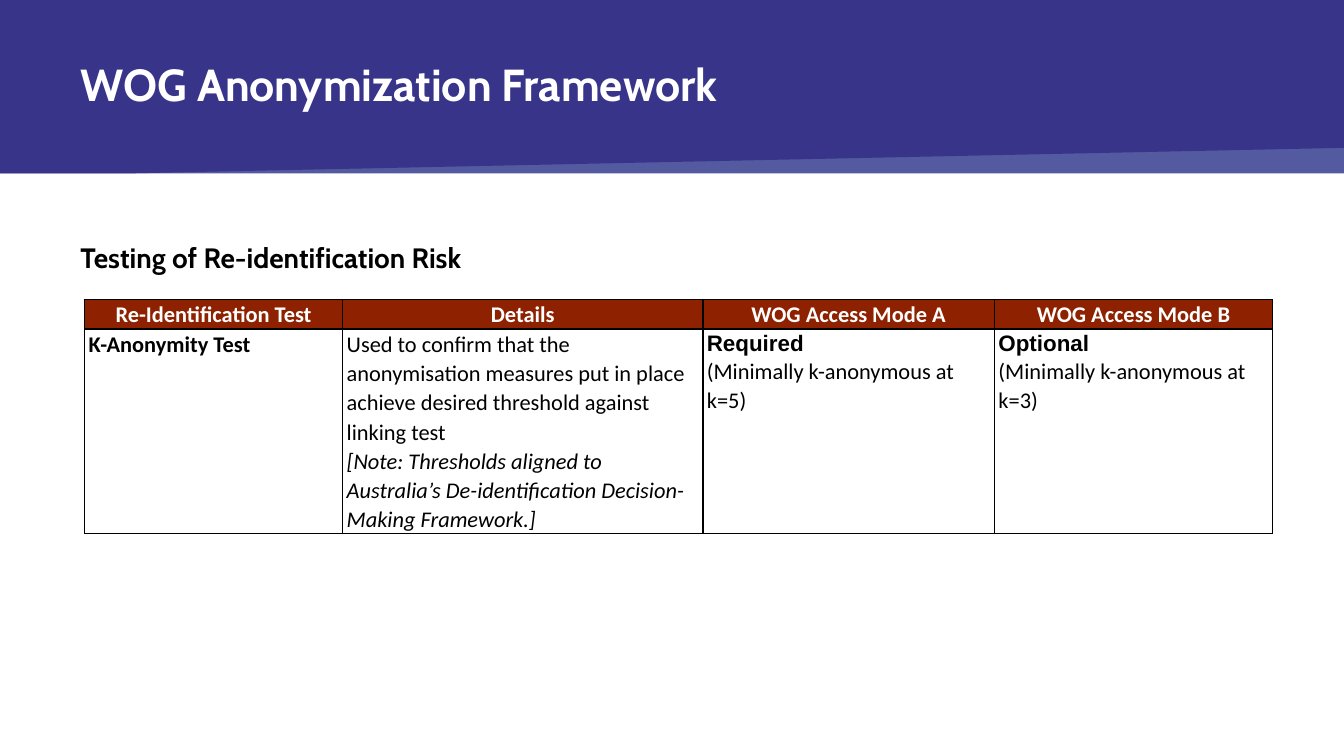
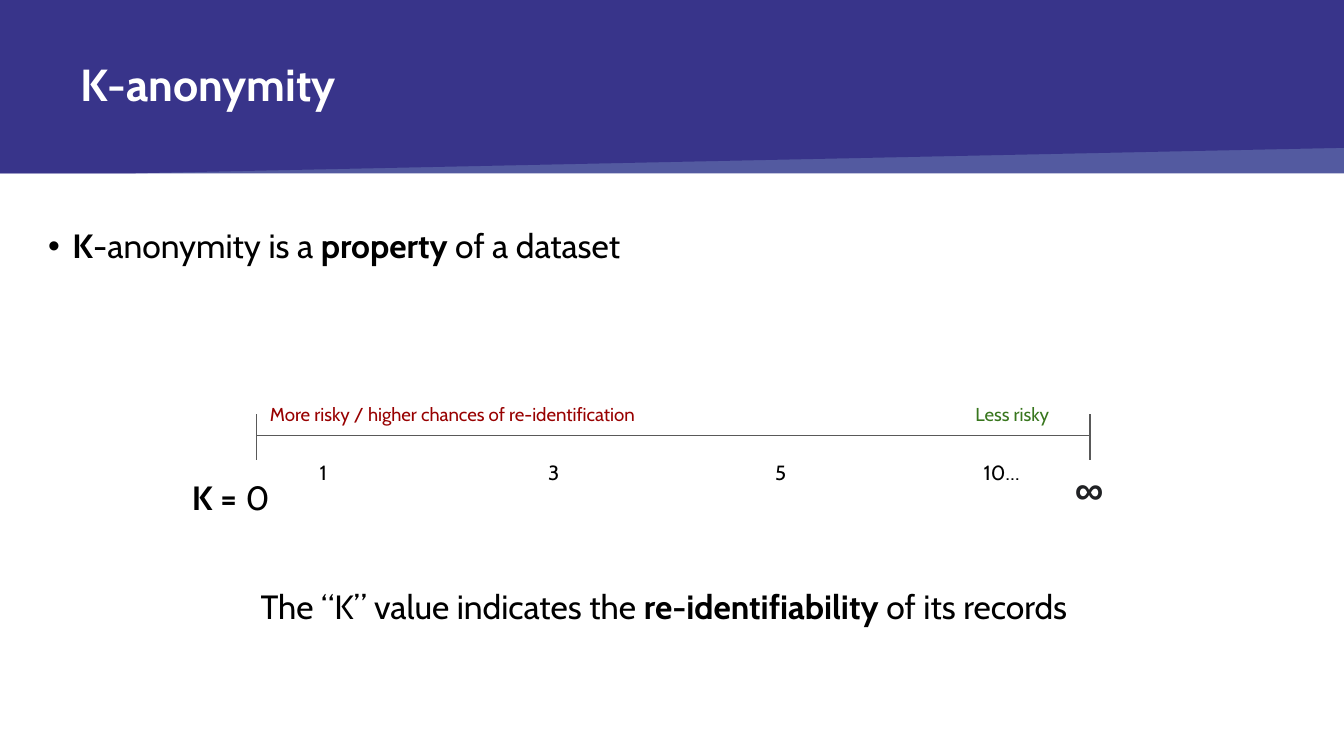
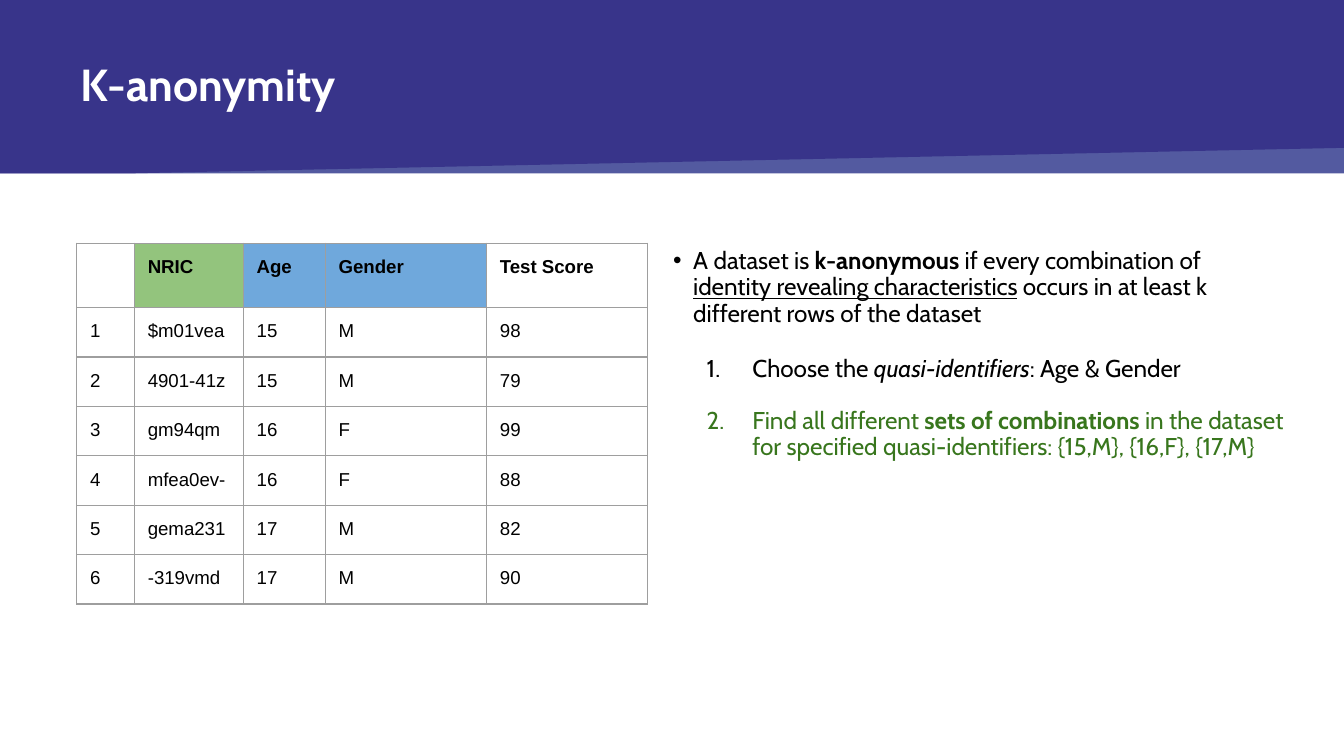
"""Build three slides on testing re-identification risk with k-anonymity."""
from dataclasses import dataclass
from typing import NamedTuple, Optional, Sequence

from lxml import etree
from pptx import Presentation
from pptx import slide as s
from pptx import table as tb
from pptx import util as u
from pptx.dml import color as c
from pptx.enum import shapes, text
from pptx.oxml import ns
from pptx.text import text as t


@dataclass(frozen=True)
class Theme:
    heading_font: str = "Cabin"
    table_font: str = "Calibri"
    plain_font: str = "Arial"
    white: str = "FFFFFF"
    black: str = "000000"
    band: str = "535AA0"
    band_overlay: str = "2F2883"
    overlay_opacity: int = 75
    header_red: str = "8E2200"
    identifier_green: str = "93C47D"
    quasi_blue: str = "6FA8DC"
    grid: str = "9E9E9E"
    axis: str = "595959"
    infinity: str = "202124"
    risky: str = "980000"
    safe: str = "38761D"
    title: float = 24
    infinity_size: float = 21.5
    body: float = 18
    subtitle: float = 15
    list_size: float = 13
    framework: float = 12
    tick: float = 11
    small: float = 10
    tight: float = 0.9
    loose: float = 1.07


THEME = Theme()


class Box(NamedTuple):
    left: float
    top: float
    width: float
    height: float


class Run(NamedTuple):
    text: str
    bold: Optional[bool] = None
    italic: Optional[bool] = None
    underline: Optional[bool] = None


@dataclass(frozen=True)
class Para:
    runs: Sequence[Run]
    size: float = THEME.body
    font: str = THEME.heading_font
    color: str = THEME.black
    bold: bool = False
    italic: bool = False
    centered: bool = False
    spacing: float = THEME.tight
    before: float = 0
    marker: str = ""
    indent: tuple[float, float] = (0, 0)


@dataclass(frozen=True)
class Cell:
    paras: Sequence[Para] = ()
    fill: Optional[str] = None


class Label(NamedTuple):
    box: Box
    para: Para


class Grid(NamedTuple):
    left: float
    top: float
    columns: Sequence[float]
    rows: Sequence[float]
    border: str
    border_points: float
    inset_x: float
    inset_y: float


def plain(words: str, **style) -> Para:
    """Return a paragraph with a single run."""
    return Para((Run(words),), **style)


def rgb(value: str) -> c.RGBColor:
    """Return the colour for a hex string."""
    return c.RGBColor.from_string(value)


def add_child(parent: etree._Element, tag: str, **attributes: str) -> etree._Element:
    """Append a DrawingML element."""
    return etree.SubElement(parent, ns.qn(tag), attributes)


def set_marker(paragraph: t._Paragraph, para: Para) -> None:
    """Give a paragraph its hanging bullet or number."""
    margin, hanging = para.indent
    properties = paragraph._p.get_or_add_pPr()
    properties.set("marL", str(u.Inches(margin)))
    properties.set("indent", str(u.Inches(hanging)))
    add_child(add_child(properties, "a:buClr"), "a:srgbClr", val=para.color)
    if para.marker == "1.":
        add_child(properties, "a:buAutoNum", type="arabicPeriod")
    else:
        add_child(properties, "a:buFont", typeface=THEME.plain_font)
        add_child(properties, "a:buChar", char=para.marker)


def write(frame: t.TextFrame, paras: Sequence[Para]) -> None:
    """Fill a text frame with paragraphs."""
    for index, para in enumerate(paras):
        paragraph = frame.add_paragraph() if index else frame.paragraphs[0]
        if para.marker:
            set_marker(paragraph, para)
        paragraph.alignment = text.PP_ALIGN.CENTER if para.centered else text.PP_ALIGN.LEFT
        paragraph.line_spacing = para.spacing
        if para.before:
            paragraph.space_before = u.Pt(para.before)
        font = paragraph.font
        font.name, font.size = para.font, u.Pt(para.size)
        font.bold, font.italic = para.bold, para.italic
        font.color.rgb = rgb(para.color)
        for piece in para.runs:
            run = paragraph.add_run()
            run.text = piece.text
            run.font.bold, run.font.italic = piece.bold, piece.italic
            run.font.underline = piece.underline


def add_text(slide: s.Slide, box: Box, *paras: Para, inset_y: float = 0.1,
             middle: bool = False) -> None:
    """Add a wrapped text box."""
    frame = slide.shapes.add_textbox(*map(u.Inches, box)).text_frame
    frame.word_wrap = True
    frame.margin_left = frame.margin_right = u.Inches(0.1)
    frame.margin_top = frame.margin_bottom = u.Inches(inset_y)
    frame.vertical_anchor = text.MSO_ANCHOR.MIDDLE if middle else text.MSO_ANCHOR.TOP
    write(frame, paras)


def add_line(slide: s.Slide, x1: float, y1: float, x2: float, y2: float) -> None:
    """Add a thin axis line."""
    line = slide.shapes.add_connector(
        shapes.MSO_CONNECTOR.STRAIGHT, *map(u.Inches, (x1, y1, x2, y2)))
    line.line.color.rgb = rgb(THEME.axis)
    line.line.width = u.Pt(0.75)
    add_child(line.element.spPr, "a:effectLst")


def style_cell(cell: tb._Cell, content: Cell, grid: Grid) -> None:
    """Set a cell's borders, fill, margins and text."""
    properties = cell._tc.get_or_add_tcPr()
    for side in ("a:lnL", "a:lnR", "a:lnT", "a:lnB"):
        border = add_child(properties, side, w=str(u.Pt(grid.border_points)))
        add_child(add_child(border, "a:solidFill"), "a:srgbClr", val=grid.border)
    if content.fill:
        cell.fill.solid()
        cell.fill.fore_color.rgb = rgb(content.fill)
    else:
        cell.fill.background()
    inset_y = grid.inset_y if content.paras else 0
    cell.margin_left = cell.margin_right = u.Inches(grid.inset_x)
    cell.margin_top = cell.margin_bottom = u.Inches(inset_y)
    write(cell.text_frame, content.paras)


def add_grid(slide: s.Slide, grid: Grid, rows: Sequence[Sequence[Cell]]) -> None:
    """Add a table with uniform borders."""
    box = Box(grid.left, grid.top, sum(grid.columns), sum(grid.rows))
    table = slide.shapes.add_table(
        len(grid.rows), len(grid.columns), *map(u.Inches, box)).table
    table.first_row = table.horz_banding = False
    for column, width in zip(table.columns, grid.columns):
        column.width = u.Inches(width)
    for row, height, contents in zip(table.rows, grid.rows, rows):
        row.height = u.Inches(height)
        for cell, content in zip(row.cells, contents):
            style_cell(cell, content, grid)


def start_slide(presentation, title: str) -> s.Slide:
    """Add a blank slide with the header band and title."""
    slide = presentation.slides.add_slide(presentation.slide_layouts[6])
    band = slide.shapes.add_shape(
        shapes.MSO_SHAPE.RECTANGLE, *map(u.Inches, (0, 0, 10, 1.29)))
    builder = slide.shapes.build_freeform(0, 0)
    corners = ((10, 0), (10, 1.1), (0.96, 1.29), (0, 1.29))
    builder.add_line_segments([(u.Inches(x), u.Inches(y)) for x, y in corners])
    overlay = builder.convert_to_shape()
    for shape, color in ((band, THEME.band), (overlay, THEME.band_overlay)):
        shape.shadow.inherit = False
        shape.fill.solid()
        shape.fill.fore_color.rgb = rgb(color)
        shape.line.fill.background()
    overlay_color = overlay.element.spPr.find(".//" + ns.qn("a:srgbClr"))
    add_child(overlay_color, "a:alpha", val=str(THEME.overlay_opacity * 1000))
    add_text(slide, Box(0.5, 0.26, 8.96, 0.78),
             plain(title, size=THEME.title, color=THEME.white, bold=True),
             inset_y=0.05, middle=True)
    return slide


def framework_para(words: str, **style) -> Para:
    """Return a paragraph in the framework table's style."""
    return plain(words, **{"size": THEME.framework, "font": THEME.table_font,
                           "spacing": THEME.loose, **style})


def mode_cell(status: str, threshold: int) -> Cell:
    """Return the requirement for one access mode."""
    return Cell((framework_para(status, font=THEME.plain_font, bold=True),
                 framework_para(f"(Minimally k-anonymous at k={threshold})")))


def build_framework(presentation) -> None:
    """Build the slide on the anonymization framework."""
    slide = start_slide(presentation, "WOG Anonymization Framework")
    headings = ("Re-Identification Test", "Details", "WOG Access Mode A", "WOG Access Mode B")
    header = [Cell((framework_para(heading, color=THEME.white, bold=True, centered=True),),
                   THEME.header_red) for heading in headings]
    details = Cell((
        framework_para("Used to confirm that the anonymisation measures put in place "
                       "achieve desired threshold against linking test"),
        framework_para("[Note: Thresholds aligned to Australia’s De-identification "
                       "Decision-Making Framework.]", italic=True)))
    test = Cell((framework_para("K-Anonymity Test", bold=True),))
    grid = Grid(0.63, 2.23, (1.92, 2.68, 2.17, 2.07), (0.22, 1.52), THEME.black, 1, 0.03, 0)
    add_grid(slide, grid,
             (header, (test, details, mode_cell("Required", 5), mode_cell("Optional", 3))))
    add_text(slide, Box(0.5, 1.72, 6.63, 0.43),
             plain("Testing of Re-identification Risk", size=THEME.subtitle, bold=True))


def build_scale(presentation) -> None:
    """Build the slide with the scale of K values."""
    slide = start_slide(presentation, "K-anonymity")
    add_text(slide, Box(0.19, 1.66, 9.63, 0.4),
             Para((Run("K", bold=True), Run("-anonymity is a "), Run("property", bold=True),
                   Run(" of a dataset")), marker="•", indent=(0.25, -0.18)), inset_y=0.05)
    add_text(slide, Box(1.84, 4.29, 6.35, 0.47),
             Para((Run("The “K” value indicates the "), Run("re-identifiability", bold=True),
                   Run(" of its records"))))
    axis_left, axis_right = 1.91, 8.11
    add_line(slide, axis_left, 3.24, axis_right, 3.24)
    for end in (axis_left, axis_right):
        add_line(slide, end, 3.42, end, 3.08)
    for left, width, value in ((2.28, 0.35, "1"), (3.98, 0.63, "3"),
                               (5.67, 0.63, "5"), (7.22, 0.63, "10…")):
        add_text(slide, Box(left, 3.36, width, 0.37), plain(value, size=THEME.tick))
    labels = (
        Label(Box(1.73, 3.48, 0.35, 0.47), plain("0")),
        Label(Box(7.9, 3.4, 0.35, 0.53),
              plain("∞", size=THEME.infinity_size, font=THEME.plain_font,
                    color=THEME.infinity, bold=True)),
        Label(Box(1.33, 3.48, 1.41, 0.47), plain("K =", bold=True)),
        Label(Box(axis_left, 2.94, 3.28, 0.35),
              plain("More risky / higher chances of re-identification",
                    size=THEME.small, color=THEME.risky)),
        Label(Box(7.16, 2.94, 0.9, 0.35),
              plain("Less risky", size=THEME.small, color=THEME.safe)),
    )
    for label in labels:
        add_text(slide, label.box, label.para)


def record_cell(words: str, fill: Optional[str] = None, bold: bool = False) -> Cell:
    """Return a cell of the records table."""
    return Cell((plain(words, size=THEME.small, font=THEME.plain_font, spacing=1.0,
                       bold=bold),), fill)


def build_dataset(presentation) -> None:
    """Build the slide with the sample dataset and steps."""
    slide = start_slide(presentation, "K-anonymity")
    headings = (("NRIC", THEME.identifier_green), ("Age", THEME.quasi_blue),
                ("Gender", THEME.quasi_blue), ("Test Score", None))
    records = (("$m01vea", "15", "M", "98"), ("4901-41z", "15", "M", "79"),
               ("gm94qm", "16", "F", "99"), ("mfea0ev-", "16", "F", "88"),
               ("gema231", "17", "M", "82"), ("-319vmd", "17", "M", "90"))
    rows = [[Cell(), *(record_cell(name, fill, bold=True) for name, fill in headings)]]
    for number, record in enumerate(records, start=1):
        rows.append([record_cell(value) for value in (str(number), *record)])
    heights = (0.48, *[0.35] * len(records))
    add_grid(slide, Grid(0.57, 1.81, (0.43, 0.81, 0.61, 1.2, 1.2), heights,
                         THEME.grid, 0.75, 0.1, 0.1), rows)
    add_text(slide, Box(4.81, 1.75, 4.8, 0.79),
             Para((Run("A dataset is "), Run("k-anonymous", bold=True),
                   Run(" if every combination of "),
                   Run("identity revealing characteristics", underline=True),
                   Run(" occurs in at least k different rows of the dataset")),
                  size=THEME.list_size, marker="•", indent=(0.25, -0.15)))
    step = {"size": THEME.list_size, "marker": "1.", "indent": (0.5, -0.34)}
    add_text(slide, Box(5, 2.55, 4.8, 1.19),
             Para((Run("Choose the "), Run("quasi-identifiers", italic=True),
                   Run(": Age & Gender")), **step),
             Para((Run("Find all different "), Run("sets of combinations ", bold=True),
                   Run("in the dataset for specified quasi-identifiers: "
                       "{15,M}, {16,F}, {17,M}")),
                  color=THEME.safe, before=14, **step))


def main() -> None:
    """Build and save the presentation."""
    presentation = Presentation()
    presentation.slide_width = u.Inches(10)
    presentation.slide_height = u.Inches(10 * 9 / 16)
    build_framework(presentation)
    build_scale(presentation)
    build_dataset(presentation)
    presentation.save("out.pptx")


if __name__ == "__main__":
    main()
